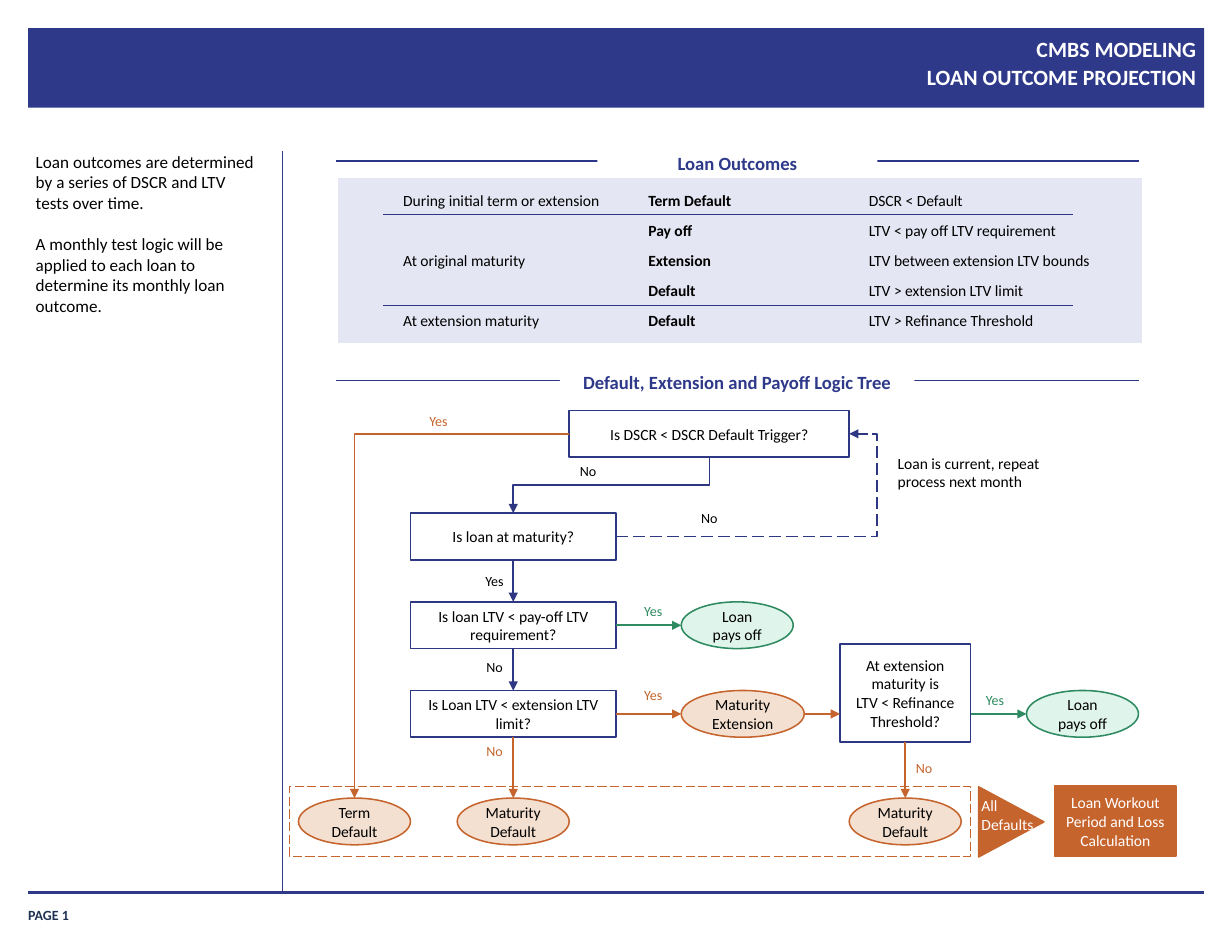
from lxml import etree
from pptx import Presentation
from pptx.dml.color import RGBColor
from pptx.enum.dml import MSO_LINE
from pptx.enum.shapes import MSO_CONNECTOR, MSO_SHAPE
from pptx.enum.text import MSO_ANCHOR, MSO_AUTO_SIZE, PP_ALIGN
from pptx.oxml.ns import qn
from pptx.util import Cm, Pt

RECTANGLE, OVAL, TRIANGLE = MSO_SHAPE.RECTANGLE, MSO_SHAPE.OVAL, MSO_SHAPE.ISOSCELES_TRIANGLE
STRAIGHT, ELBOW = MSO_CONNECTOR.STRAIGHT, MSO_CONNECTOR.ELBOW
LEFT, CENTER, RIGHT = PP_ALIGN.LEFT, PP_ALIGN.CENTER, PP_ALIGN.RIGHT
TOP, MIDDLE, BOTTOM = MSO_ANCHOR.TOP, MSO_ANCHOR.MIDDLE, MSO_ANCHOR.BOTTOM
LONG_DASH = MSO_LINE.LONG_DASH
FONT = "Calibri"
BLUE, NAVY, RULE, PANEL = "2E398A", "2E3781", "2B3689", "E5E6F3"
GREEN, LIGHT_GREEN = "2E8A60", "DFF5EB"
ORANGE, LIGHT_ORANGE = "C6642E", "F4E0D0"
BLACK, WHITE, PAGE = "000000", "FFFFFF", "203353"
color = RGBColor.from_string

presentation = Presentation()
presentation.slide_width, presentation.slide_height = Cm(27.94), Cm(21.59)
slide = presentation.slides.add_slide(presentation.slide_layouts[1])


def add_box(kind, left, top, width, height, text="", fill=None, line=None, line_width=1,
            size=10, font_color=BLACK, bold=False, align=CENTER, anchor=MIDDLE, inset=None):
    """Add a preset shape, or a text box when kind is None."""
    place = Cm(left), Cm(top), Cm(width), Cm(height)
    if kind is None:
        shape = slide.shapes.add_textbox(*place)
    else:
        shape = slide.shapes.add_shape(kind, *place)
        shape.shadow.inherit = False
    if fill:
        shape.fill.solid()
        shape.fill.fore_color.rgb = color(fill)
    else:
        shape.fill.background()
    if line:
        shape.line.color.rgb = color(line)
        shape.line.width = Pt(line_width)
    else:
        shape.line.fill.background()
    if text:
        frame = shape.text_frame
        frame.text = text
        frame.word_wrap = True
        frame.vertical_anchor = anchor
        if inset is not None:
            frame.margin_left = frame.margin_right = Cm(inset)
            frame.margin_top = frame.margin_bottom = Cm(inset)
        for paragraph in frame.paragraphs:
            paragraph.alignment = align
            font = paragraph.runs[0].font
            font.name, font.size, font.bold = FONT, Pt(size), bold
            font.color.rgb = color(font_color)
    return shape


def add_line(x1, y1, x2, y2, line_color, width=1.0, arrow=False, kind=STRAIGHT):
    connector = slide.shapes.add_connector(kind, Cm(x1), Cm(y1), Cm(x2), Cm(y2))
    connector.line.color.rgb = color(line_color)
    connector.line.width = Pt(width)
    if arrow:
        etree.SubElement(connector.line._get_or_add_ln(), qn("a:tailEnd"), type="triangle")
    etree.SubElement(connector._element.spPr, qn("a:effectLst"))
    return connector


# Page frame; the banner goes behind the title placeholder
banner = add_box(RECTANGLE, 0.64, 0.64, 26.67, 1.8, fill=BLUE)
slide.shapes._spTree.insert(2, banner._element)
add_box(None, 0.64, 20.35, 2.31, 0.58, "PAGE 1", size=9, font_color=PAGE, bold=True,
        align=LEFT, anchor=BOTTOM, inset=0)
add_line(0.64, 20.24, 27.31, 20.24, BLUE, 2.25)
add_line(6.4, 3.43, 6.4, 20.27, BLUE, 0.5)

# Title and commentary
title, body = slide.shapes.title, slide.placeholders[1]
title.text_frame.text = "CMBS MODELING\vLOAN OUTCOME PROJECTION"
body.text_frame.text = (
    "Loan outcomes are determined by a series of DSCR and LTV tests over time.\n"
    "A monthly test logic will be applied to each loan to determine its monthly loan outcome.")
for shape, place, size, font_color, align, spacing in [
    (title, (8.05, 0.74, 19.08, 1.7), 14, WHITE, RIGHT, 1.1),
    (body, (0.81, 3.43, 5.11, 7.19), 11, BLACK, LEFT, 1.0),
]:
    shape.left, shape.top, shape.width, shape.height = [Cm(value) for value in place]
    frame = shape.text_frame
    frame.margin_left = frame.margin_right = frame.margin_top = frame.margin_bottom = 0
    frame.vertical_anchor = TOP
    frame.auto_size = MSO_AUTO_SIZE.NONE
    for index, paragraph in enumerate(frame.paragraphs):
        properties = paragraph._p.get_or_add_pPr()
        properties.set("marL", "0")
        properties.set("indent", "0")
        etree.SubElement(properties, qn("a:buNone"))
        paragraph.alignment = align
        paragraph.line_spacing = spacing
        paragraph.space_before = Pt(13.4 * index)
        for run in paragraph.runs:
            run.font.name, run.font.size, run.font.bold = FONT, Pt(size), shape is title
            run.font.color.rgb = color(font_color)

# Section headings, each interrupting a rule
for rule_y, left, top, width, text in [
    (3.65, 13.55, 3.39, 6.35, "Loan Outcomes"),
    (8.63, 12.7, 8.36, 8.04, "Default, Extension and Payoff Logic Tree"),
]:
    add_line(7.62, rule_y, 25.82, rule_y, RULE, 0.75)
    heading = add_box(RECTANGLE, left, top, width, 0.53, text, fill=WHITE, size=12,
                      font_color=BLUE, bold=True, anchor=TOP, inset=0)
    heading.text_frame.paragraphs[0].line_spacing = 1.1

# Outcome table
add_box(RECTANGLE, 7.62, 4.01, 18.31, 3.81, fill=PANEL, line=WHITE, line_width=2)
rows = [
    ("During initial term or extension", "Term Default", "DSCR < Default"),
    ("At original maturity", "Pay off", "LTV < pay off LTV requirement"),
    ("", "Extension", "LTV between extension LTV bounds"),
    ("", "Default", "LTV > extension LTV limit"),
    ("At extension maturity", "Default", "LTV > Refinance Threshold"),
]
table = slide.shapes.add_table(5, 3, Cm(8.89), Cm(4.23), Cm(16.71), Cm(3.4)).table
table.first_row = table.horz_banding = False
NO_STYLE = "{2D5ABB26-0587-4C30-8999-92F81FD0307C}"
table._tbl.tblPr.find(qn("a:tableStyleId")).text = NO_STYLE
for column, width in zip(table.columns, (5.56, 5, 6.15)):
    column.width = Cm(width)
for row_index, row in enumerate(rows):
    for column_index, text in enumerate(row):
        cell = table.cell(row_index, column_index)
        cell.fill.background()
        cell.text = text
        font = cell.text_frame.paragraphs[0].font
        font.size = Pt(10)
        for run in cell.text_frame.paragraphs[0].runs:
            run.font.name, run.font.size, run.font.bold = FONT, Pt(10), column_index == 1
            run.font.color.rgb = color(BLACK)
table.cell(1, 0).merge(table.cell(3, 0))
table.cell(1, 0).vertical_anchor = MIDDLE
for y in (4.87, 6.93):
    add_line(8.69, y, 24.34, y, RULE, 0.75)

# Decisions
for left, top, width, height, text in [
    (12.91, 9.31, 6.35, 1.06, "Is DSCR < DSCR Default Trigger?"),
    (9.31, 11.64, 4.66, 1.06, "Is loan at maturity?"),
    (9.31, 13.65, 4.66, 1.06, "Is loan LTV < pay-off LTV requirement?"),
    (9.31, 15.66, 4.66, 1.06, "Is Loan LTV < extension LTV limit?"),
    (19.05, 14.61, 2.96, 2.22, "At extension maturity is\nLTV < Refinance Threshold?"),
]:
    add_box(RECTANGLE, left, top, width, height, text, line=NAVY)

# Outcomes
for left, top, width, text, fill, line in [
    (15.45, 13.65, 2.54, "Loan pays off", LIGHT_GREEN, GREEN),
    (15.45, 15.66, 2.79, "Maturity\nExtension", LIGHT_ORANGE, ORANGE),
    (23.28, 15.66, 2.54, "Loan pays off", LIGHT_GREEN, GREEN),
    (6.77, 18.1, 2.54, "Term Default", LIGHT_ORANGE, ORANGE),
    (10.37, 18.1, 2.54, "Maturity Default", LIGHT_ORANGE, ORANGE),
    (19.26, 18.1, 2.54, "Maturity Default", LIGHT_ORANGE, ORANGE),
]:
    add_box(OVAL, left, top, width, 1.06, text, fill=fill, line=line)

# Arrows
for x1, y1, x2, y2, line_color in [
    (11.64, 12.7, 11.64, 13.65, NAVY),
    (11.64, 14.71, 11.64, 15.66, NAVY),
    (11.64, 16.72, 11.64, 18.1, ORANGE),
    (20.53, 16.83, 20.53, 18.1, ORANGE),
    (13.97, 14.18, 15.45, 14.18, GREEN),
    (13.97, 16.19, 15.45, 16.19, ORANGE),
    (18.24, 16.19, 19.05, 16.19, ORANGE),
    (22.01, 16.19, 23.28, 16.19, GREEN),
]:
    add_line(x1, y1, x2, y2, line_color, arrow=True)

to_maturity = add_line(13.23, 8.78, 14.5, 13.23, NAVY, arrow=True, kind=ELBOW)
to_maturity._element.spPr.xfrm.set("rot", "5400000")
next_month = add_line(13.97, 12.17, 19.26, 9.84, NAVY, arrow=True, kind=ELBOW)
next_month.line.dash_style = LONG_DASH
adjustments = next_month._element.spPr.prstGeom.get_or_add_avLst()
etree.SubElement(adjustments, qn("a:gd"), name="adj1", fmla="val 112000")
to_default = add_line(8.04, 18.1, 12.91, 9.84, ORANGE, arrow=True, kind=ELBOW)
to_default._element.spPr.xfrm.set("rot", "10800000")
to_default._element.spPr.prstGeom.set("prst", "bentConnector2")

# Branch labels
for left, top, text, font_color in [
    (12.49, 10.37, "No", BLACK), (15.24, 11.43, "No", BLACK),
    (10.37, 12.85, "Yes", BLACK), (10.37, 14.82, "No", BLACK),
    (13.97, 13.55, "Yes", GREEN), (13.97, 15.45, "Yes", ORANGE),
    (21.72, 15.55, "Yes", GREEN), (20.11, 17.09, "No", ORANGE),
    (10.37, 16.72, "No", ORANGE), (9.1, 9.22, "Yes", ORANGE),
]:
    add_box(None, left, top, 1.69, 0.64, text, size=9, font_color=font_color, anchor=TOP)
add_box(None, 20.11, 10.16, 3.81, 1.12, "Loan is current, repeat process next month",
        align=LEFT, anchor=TOP)

# Defaults lead to the workout
defaults = add_box(RECTANGLE, 6.56, 17.83, 15.45, 1.59, line=ORANGE, line_width=0.75)
defaults.line.dash_style = LONG_DASH
pointer = add_box(TRIANGLE, 22.14, 17.9, 1.59, 1.48, fill=ORANGE, line=ORANGE)
pointer.rotation = 90
add_box(None, 22.01, 17.93, 1.91, 1.12, "All\nDefaults", font_color=WHITE, align=LEFT, anchor=TOP)
add_box(RECTANGLE, 23.92, 17.83, 2.75, 1.59, "Loan Workout Period and Loss Calculation",
        fill=ORANGE, line=ORANGE, font_color=WHITE)

presentation.save("out.pptx")
